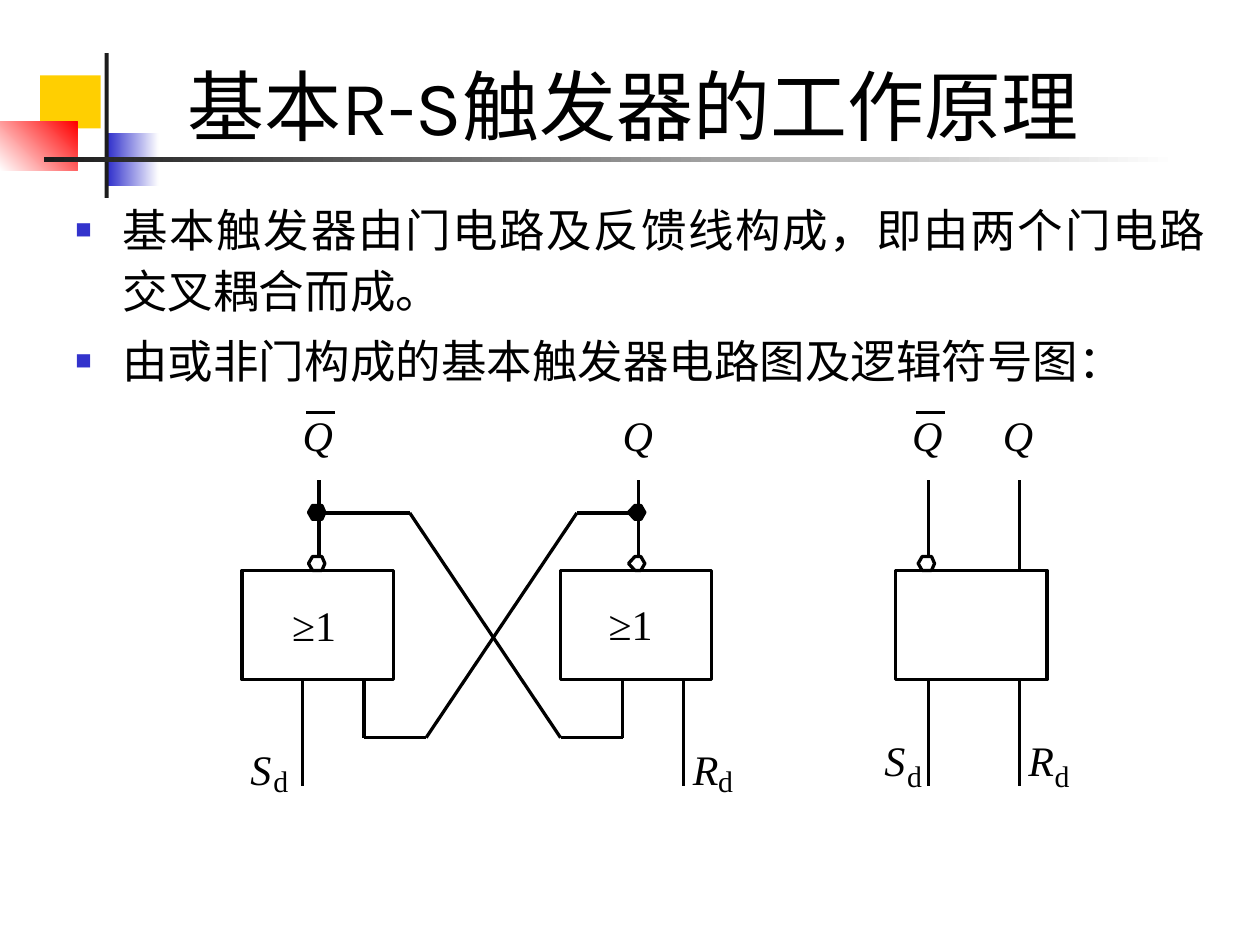
from lxml import etree
from pptx import Presentation
from pptx.dml.color import RGBColor
from pptx.enum.lang import MSO_LANGUAGE_ID
from pptx.enum.shapes import MSO_CONNECTOR, MSO_SHAPE
from pptx.enum.text import MSO_ANCHOR, MSO_AUTO_SIZE, PP_ALIGN
from pptx.oxml.ns import qn
from pptx.util import Cm, Pt

RECTANGLE = MSO_SHAPE.RECTANGLE
STRAIGHT = MSO_CONNECTOR.STRAIGHT
CHINESE = MSO_LANGUAGE_ID.SIMPLIFIED_CHINESE
COLORS = {"black": "000000", "white": "FFFFFF", "yellow": "FFCF01",
          "blue": "3333CC", "red": "FF0000", "dark": "1C1C1C"}
SERIF, SANS, HAN = "Times New Roman", "Karla", "Noto Sans CJK SC"
LINE_WIDTH = Pt(1.88)

# Content (all places in centimetres)
TITLE = [("基本R-S触发器", SANS), ("的工作原理", HAN)]
BULLETS = [
    ("基本触发器由门电路及反馈线构成，即由两个门电路交叉耦合而成。", HAN),
    ("由或非门构成的基本触发器电路图及逻辑符号图：", SERIF),
]
# left, top, width, height, fill colours, gradient angle
ORNAMENTS = [
    (0.81, 1.52, 1.22, 1.07, ["yellow"], 0),
    (2.18, 2.69, 1.02, 1.07, ["blue", "white"], 0),
    (0, 2.46, 1.56, 0.97, ["white", "red"], 45),
    (2.11, 1.07, 0.08, 2.92, ["dark"], 0),
    (0.89, 3.17, 22.86, 0.09, ["dark", "white"], 0),
]

# Levels and columns of the circuit
LEAD_TOP, NODE_Y, BUBBLE_Y = 9.68, 10.34, 11.36
GATE_TOP, GATE_BOTTOM, ELBOW_Y, LEAD_END = 11.5, 13.7, 14.87, 15.85
GATE_WIDTH = 3.05
GATES = [4.88, 11.3, 18.06]
NOT_Q, Q = 6.43, 12.87
SET_IN, SET_FEEDBACK = 6.1, 7.34
RESET_FEEDBACK, RESET_IN = 12.55, 13.78
SYMBOL_LEFT, SYMBOL_RIGHT = 18.72, 20.55

WIRES = [
    [(NOT_Q, LEAD_TOP), (NOT_Q, BUBBLE_Y - 0.14)],
    [(Q, LEAD_TOP), (Q, BUBBLE_Y - 0.14)],
    [(SET_IN, GATE_BOTTOM), (SET_IN, LEAD_END)],
    [(RESET_IN, GATE_BOTTOM), (RESET_IN, LEAD_END)],
    [(NOT_Q, NODE_Y), (8.26, NODE_Y), (11.3, ELBOW_Y),
     (RESET_FEEDBACK, ELBOW_Y), (RESET_FEEDBACK, GATE_BOTTOM)],
    [(Q, NODE_Y), (11.63, NODE_Y), (8.59, ELBOW_Y),
     (SET_FEEDBACK, ELBOW_Y), (SET_FEEDBACK, GATE_BOTTOM)],
]
for symbol_x in (SYMBOL_LEFT, SYMBOL_RIGHT):
    WIRES.append([(symbol_x, LEAD_TOP), (symbol_x, GATE_TOP)])
    WIRES.append([(symbol_x, GATE_BOTTOM), (symbol_x, LEAD_END)])
OVERBARS = [[(x, 8.32), (x + 0.59, 8.32)] for x in (6.17, 18.47)]

# left, middle, x of the flat top's two ends, fill
HEXAGONS = [
    (6.22, NODE_Y - 0.01, 0.08, 0.27, "black"),
    (12.67, NODE_Y - 0.01, 0.13, 0.25, "black"),
    (6.22, BUBBLE_Y, 0.08, 0.27, "white"),
    (12.67, BUBBLE_Y, 0.13, 0.25, "white"),
    (18.51, BUBBLE_Y, 0.08, 0.27, "white"),
]
OUTPUT_LABELS = [6.1, 12.55, 18.39, 20.22]
GATE_LABELS = [(5.89, 12.09), (12.27, 12.07)]
# letter, left, top, offset of the index to the right and down
INPUT_LABELS = [("S", 5.05, 14.99, 0.46, 0.38), ("R", 13.97, 14.99, 0.51, 0.38),
                ("S", 17.83, 14.81, 0.46, 0.46), ("R", 20.73, 14.81, 0.53, 0.46)]

deck = Presentation()
deck.slide_width, deck.slide_height = Cm(25.4), Cm(19.05)
page = deck.slides.add_slide(deck.slide_layouts[6])


def color(name):
    return RGBColor.from_string(COLORS[name])


def add_span(para, text, size, latin, east_asian=HAN, italic=False):
    span = para.add_run()
    span.text = text
    font = span.font
    font.size, font.name, font.italic = Pt(size), latin, italic
    font.color.rgb = color("black")
    font.language_id = CHINESE
    etree.SubElement(span._r.get_or_add_rPr(), qn("a:ea"), typeface=east_asian)


def outline(shape, fill):
    shape.shadow.inherit = False
    shape.fill.solid()
    shape.fill.fore_color.rgb = color(fill)
    shape.line.color.rgb = color("black")
    shape.line.width = LINE_WIDTH


def add_wire(points):
    for (x1, y1), (x2, y2) in zip(points, points[1:]):
        wire = page.shapes.add_connector(STRAIGHT, Cm(x1), Cm(y1), Cm(x2), Cm(y2))
        wire.line.color.rgb = color("black")
        wire.line.width = LINE_WIDTH
        etree.SubElement(wire._element.spPr, qn("a:effectLst"))


def add_hexagon(left, middle, start, end, fill):
    corners = [(0, 0), (start, -0.14), (end, -0.14),
               (0.33, 0), (end, 0.14), (start, 0.14)]
    points = [(Cm(left + x), Cm(middle + y)) for x, y in corners]
    builder = page.shapes.build_freeform(*points[0])
    builder.add_line_segments(points[1:], close=True)
    outline(builder.convert_to_shape(), fill)


def add_label(text, left, top, width, size=24, italic=False):
    box = page.shapes.add_textbox(Cm(left), Cm(top), Cm(width), Cm(size * 0.042))
    frame = box.text_frame
    frame.margin_left = frame.margin_right = 0
    frame.margin_top = frame.margin_bottom = 0
    frame.word_wrap = False
    frame.auto_size = MSO_AUTO_SIZE.SHAPE_TO_FIT_TEXT
    add_span(frame.paragraphs[0], text, size, SERIF, SERIF, italic)


def add_bullet(para):
    properties = para._p.get_or_add_pPr()
    properties.set("marL", str(Cm(0.95)))
    properties.set("indent", str(-Cm(0.95)))
    bullet_color = etree.SubElement(properties, qn("a:buClr"))
    etree.SubElement(bullet_color, qn("a:srgbClr"), val=COLORS["blue"])
    etree.SubElement(properties, qn("a:buSzPct"), val="60000")
    etree.SubElement(properties, qn("a:buFont"), typeface=SERIF)
    etree.SubElement(properties, qn("a:buChar"), char="■")


# Corner ornaments
for left, top, width, height, fills, angle in ORNAMENTS:
    block = page.shapes.add_shape(RECTANGLE, Cm(left), Cm(top), Cm(width), Cm(height))
    block.shadow.inherit = False
    block.line.fill.background()
    if len(fills) == 1:
        block.fill.solid()
        block.fill.fore_color.rgb = color(fills[0])
    else:
        block.fill.gradient()
        block.fill.gradient_angle = angle
        for position, (stop, name) in enumerate(zip(block.fill.gradient_stops, fills)):
            stop.position = position
            stop.color.rgb = color(name)

# Bulleted text
body = page.shapes.add_textbox(Cm(1.27), Cm(3.81), Cm(23.29), Cm(13.54)).text_frame
body.word_wrap = True
for index, (text, latin) in enumerate(BULLETS):
    para = body.add_paragraph() if index else body.paragraphs[0]
    add_bullet(para)
    para.alignment = PP_ALIGN.JUSTIFY
    para.line_spacing = Pt(35)
    if index:
        para.space_before = Pt(5)
    add_span(para, text, 26, latin)

# Title
title = page.shapes.add_textbox(Cm(3.53), Cm(1.47), Cm(21.64), Cm(1.7)).text_frame
title.word_wrap = True
title.vertical_anchor = MSO_ANCHOR.BOTTOM
for text, latin in TITLE:
    add_span(title.paragraphs[0], text, 44, latin)

# Circuit and logic symbol
for points in WIRES + OVERBARS:
    add_wire(points)
for left in GATES:
    gate = page.shapes.add_shape(RECTANGLE, Cm(left), Cm(GATE_TOP),
                                 Cm(GATE_WIDTH), Cm(GATE_BOTTOM - GATE_TOP))
    outline(gate, "white")
for hexagon in HEXAGONS:
    add_hexagon(*hexagon)

# Labels
for left in OUTPUT_LABELS:
    add_label("Q", left, 8.26, 0.61, italic=True)
for left, top in GATE_LABELS:
    add_label("≥1", left, top, 1.27)
for letter, left, top, right, down in INPUT_LABELS:
    add_label(letter, left, top, 0.5, italic=True)
    add_label("d", left + right, top + down, 0.3, size=17)

deck.save("out.pptx")
